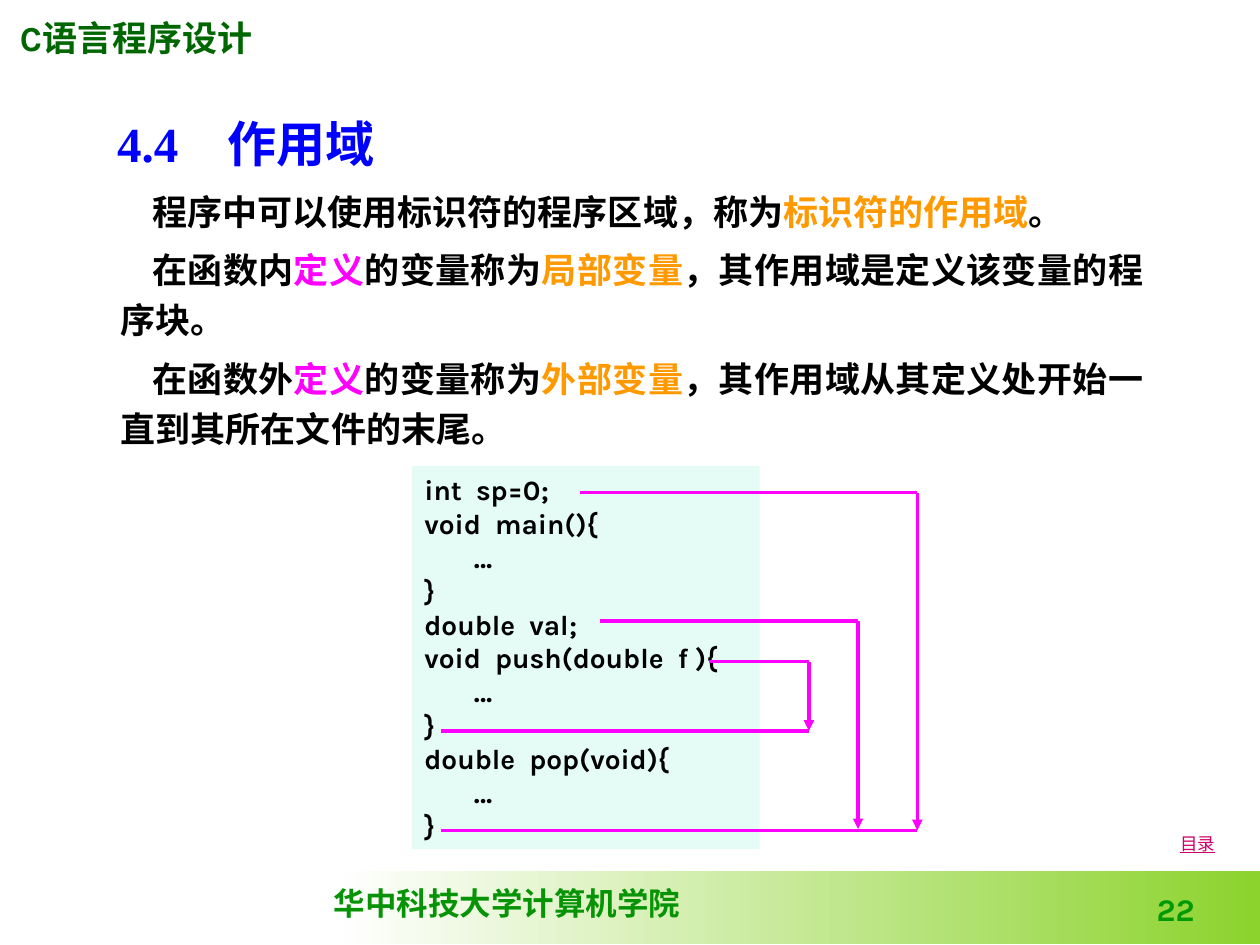
import pptx
import pptx.util
import pptx.dml.color
import pptx.enum.dml
import pptx.enum.shapes
import pptx.enum.text
import pptx.oxml.ns
from lxml import etree
from pptx.util import Inches

Pt = pptx.util.Pt
Align = pptx.enum.text.PP_ALIGN
Anchor = pptx.enum.text.MSO_ANCHOR
Shape = pptx.enum.shapes.MSO_SHAPE

THEME = {
    "latin": "Karla", "serif": "Times New Roman", "cjk": "Noto Sans CJK SC",
    "text": "000000", "title": "0000FF", "head": "006600", "foot": "069406",
    "page": "009900", "link": "CC0066", "term": "FF9900", "key": "FF00FF",
    "code": "00E4A8", "fade": ("FFFFFF", "8CD32D"),
    "big": 28, "body": 20, "label": 18, "small": 16, "tiny": 10,
}

TITLE = "4.4　作用域"
BODY = [
    [("程序中可以使用标识符的程序区域，称为", "text"),
     ("标识符的作用域", "term"), ("。", "text")],
    [("在函数内", "text"), ("定义", "key"), ("的变量称为", "text"),
     ("局部变量", "term"), ("，其作用域是定义该变量的程序块。", "text")],
    [("在函数外", "text"), ("定义", "key"), ("的变量称为", "text"),
     ("外部变量", "term"),
     ("，其作用域从其定义处开始一直到其所在文件的末尾。", "text")],
]
CODE = [
    "int  sp=0;", "void  main(){", "       …", "}",
    "double  val;", "void  push(double  f ){", "       …", "}",
    "double  pop(void){", "       …", "}",
]
# Start x, start y, right x, end y, x where the closing line begins
SCOPES = [
    (4.76, 4.93, 6.81, 6.58, None),
    (5.63, 5.25, 6.42, 5.8, 3.5),
    (4.6, 3.91, 7.28, 6.59, 3.5),
]


def color(key):
    return pptx.dml.color.RGBColor.from_string(THEME[key])


def style(font, face, size, tint, bold=True):
    font.name = THEME[face]
    font.size = Pt(THEME[size])
    font.bold = bold
    font.color.rgb = color(tint)


def add_box(slide, box, anchor=Anchor.TOP, wrap=True):
    frame = slide.shapes.add_textbox(*map(Inches, box)).text_frame
    frame.word_wrap = wrap
    frame.vertical_anchor = anchor
    return frame


def add_label(slide, box, text, look, anchor=Anchor.TOP, wrap=True):
    """Add a one-paragraph text box and return its paragraph."""
    para = add_box(slide, box, anchor, wrap).paragraphs[0]
    para.text = text
    style(para.font, *look)
    return para


def add_rect(slide, box):
    rect = slide.shapes.add_shape(Shape.RECTANGLE, *map(Inches, box))
    rect.shadow.inherit = False
    rect.line.fill.background()
    return rect


def add_line(slide, start, end, arrow=False):
    line = slide.shapes.add_connector(
        pptx.enum.shapes.MSO_CONNECTOR.STRAIGHT, *map(Inches, start + end))
    line.line.color.rgb = color("key")
    line.line.width = Pt(2)
    if arrow:
        etree.SubElement(line.line._get_or_add_ln(),
                         pptx.oxml.ns.qn("a:tailEnd"), type="triangle")
    etree.SubElement(line._element.spPr, pptx.oxml.ns.qn("a:effectLst"))


def add_frame(slide):
    """Add the header, footer band, page number and contents label."""
    band = add_rect(slide, (2.67, 6.91, 7.33, 0.58))
    band.fill.gradient()
    band.fill.gradient_angle = 0
    for stop, tint in zip(band.fill.gradient_stops, THEME["fade"]):
        stop.color.rgb = pptx.dml.color.RGBColor.from_string(tint)
    add_label(slide, (2.55, 6.97, 2.95, 0.4), "华中科技大学计算机学院",
              ("serif", "label", "foot"), wrap=False)
    head = add_box(slide, (0.06, 0.08, 2.05, 0.43)).paragraphs[0]
    for text, face in (("C", "latin"), ("语言程序设计", "serif")):
        run = head.add_run()
        run.text = text
        style(run.font, face, "body", "head")
    page = add_label(slide, (7.5, 6.95, 2.08, 0.46), "22",
                     ("latin", "label", "page"), Anchor.BOTTOM)
    page.alignment = Align.RIGHT
    link = add_label(slide, (9.27, 6.56, 0.56, 0.27), "目录",
                     ("latin", "tiny", "link", False))
    link.font.underline = True


def add_title(slide):
    title = slide.shapes.title
    title.left, title.top, title.width, title.height = map(
        Inches, (0.83, 0.84, 7.52, 0.58))
    frame = title.text_frame
    frame.text = TITLE
    frame.vertical_anchor = Anchor.BOTTOM
    para = frame.paragraphs[0]
    para.alignment = Align.LEFT
    style(para.font, "serif", "big", "title")


def add_body(slide):
    frame = add_box(slide, (0.86, 1.39, 8.31, 2.23), Anchor.MIDDLE)
    for i, parts in enumerate(BODY):
        para = frame.add_paragraph() if i else frame.paragraphs[0]
        para.alignment = Align.JUSTIFY
        para.line_spacing = Pt(28.8)
        para.space_before = Pt(4.5 if i else 0)
        para._p.get_or_add_pPr().set("indent", str(Inches(0.25)))
        for text, tint in parts:
            run = para.add_run()
            run.text = text
            style(run.font, "cjk", "body", tint)


def add_code(slide):
    rect = add_rect(slide, (3.27, 3.7, 2.76, 3.04))
    rect.fill.solid()
    rect.fill.fore_color.rgb = color("code")
    tint = rect._element.spPr.find(".//" + pptx.oxml.ns.qn("a:srgbClr"))
    etree.SubElement(tint, pptx.oxml.ns.qn("a:alpha"), val="10000")
    frame = rect.text_frame
    frame.word_wrap = True
    frame.vertical_anchor = Anchor.MIDDLE
    frame.text = "\n".join(CODE)
    for para in frame.paragraphs:
        para.alignment = Align.LEFT
        style(para.font, "latin", "small", "text")


def add_scopes(slide):
    for left, top, right, end, back in SCOPES:
        add_line(slide, (left, top), (right, top))
        add_line(slide, (right, top), (right, end), arrow=True)
        if back is not None:
            add_line(slide, (back, end), (right, end))


def main():
    deck = pptx.Presentation()
    deck.slide_width, deck.slide_height = Inches(10), Inches(7.5)
    slide = deck.slides.add_slide(deck.slide_layouts[5])
    for add in (add_frame, add_title, add_body, add_code, add_scopes):
        add(slide)
    deck.save("out.pptx")


if __name__ == "__main__":
    main()
